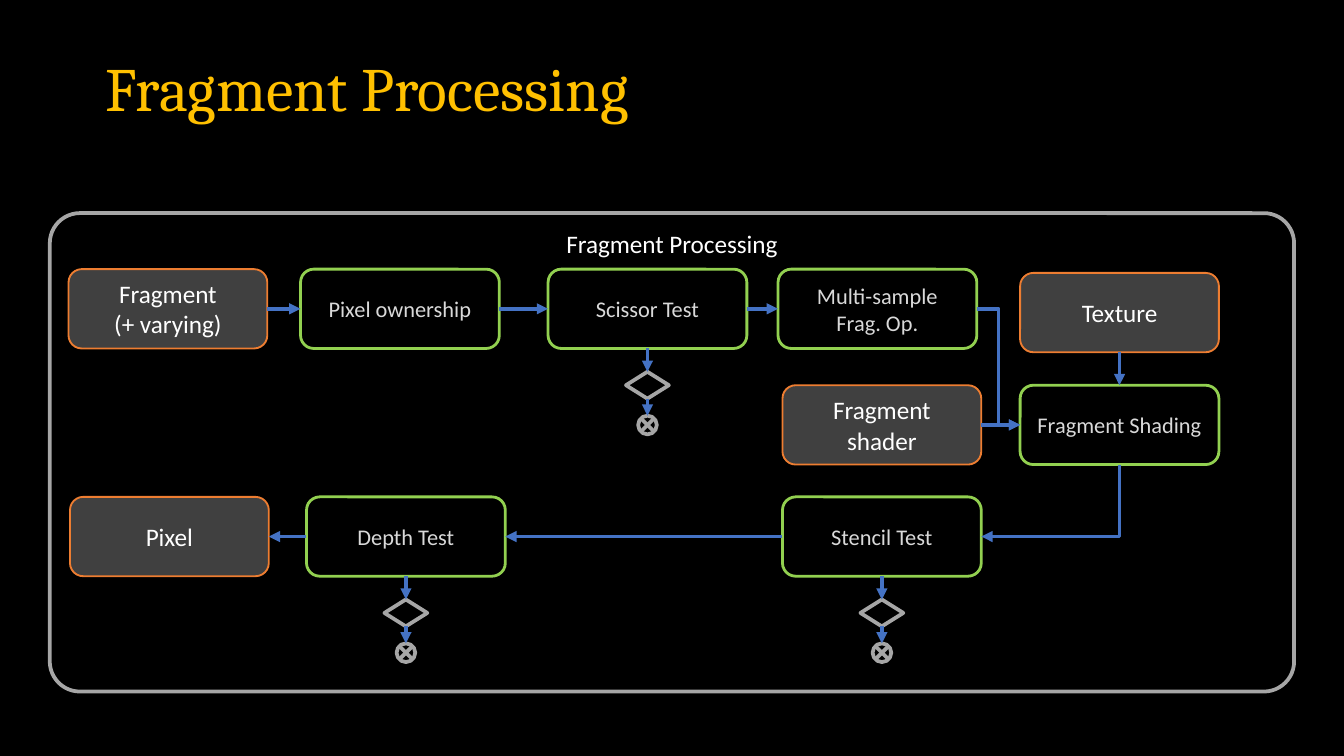
import pptx
import pptx.util
import pptx.dml.color
import pptx.enum.shapes
import pptx.enum.text
import pptx.oxml
import pptx.oxml.ns

Pt = pptx.util.Pt
SHAPE = pptx.enum.shapes.MSO_SHAPE
CONNECTOR = pptx.enum.shapes.MSO_CONNECTOR
ANCHOR = pptx.enum.text.MSO_ANCHOR
ALIGN = pptx.enum.text.PP_ALIGN

TITLE = "Fragment Processing"
GRAY, BLUE = "A6A6A6", "4472C4"
BOX_WIDTH, BOX_HEIGHT = 106.5, 42.5
ROW_TOPS = {"tests": 144.2, "texture": 146.2, "shading": 206.4, "output": 266.2}
TOP, LEFT, BOTTOM, RIGHT = range(4)

STYLES = {
    "data": {"fill": "404040", "line": "ED7D31", "weight": 1, "size": 13.5, "color": "FFFFFF"},
    "stage": {"fill": "000000", "line": "92D050", "weight": 1.5, "size": 12, "color": "D9D9D9"},
}

BOXES = {
    "fragment": ("Fragment\v(+ varying)", "data", 36.7, "tests"),
    "ownership": ("Pixel ownership", "stage", 161, "tests"),
    "scissor": ("Scissor Test", "stage", 293.6, "tests"),
    "multisample": ("Multi-sample\nFrag. Op.", "stage", 416.8, "tests"),
    "texture": ("Texture", "data", 546.5, "texture"),
    "shader": ("Fragment shader", "data", 419.2, "shading"),
    "shading": ("Fragment Shading", "stage", 546.5, "shading"),
    "pixel": ("Pixel", "data", 37.5, "output"),
    "depth": ("Depth Test", "stage", 164.2, "output"),
    "stencil": ("Stencil Test", "stage", 419.2, "output"),
}

FLOWS = [
    ("fragment", RIGHT, "ownership", LEFT),
    ("ownership", RIGHT, "scissor", LEFT),
    ("scissor", RIGHT, "multisample", LEFT),
    ("texture", BOTTOM, "shading", TOP),
    ("shader", RIGHT, "shading", LEFT),
    ("stencil", LEFT, "depth", RIGHT),
    ("depth", LEFT, "pixel", RIGHT),
]
REJECTING_TESTS = ["scissor", "depth", "stencil"]


def rgb(value):
    return pptx.dml.color.RGBColor.from_string(value)


def style_text(frame, text, size, color, font="Calibri", align=ALIGN.CENTER):
    frame.word_wrap = True
    frame.text = text
    for paragraph in frame.paragraphs:
        paragraph.alignment = align
        paragraph.font.name = font
        paragraph.font.size = Pt(size)
        paragraph.font.color.rgb = rgb(color)


def add_outline(slide, kind, left, top, width, height, line, weight, fill=None):
    shape = slide.shapes.add_shape(kind, Pt(left), Pt(top), Pt(width), Pt(height))
    shape.shadow.inherit = False
    shape.line.color.rgb = rgb(line)
    shape.line.width = Pt(weight)
    if fill:
        shape.fill.solid()
        shape.fill.fore_color.rgb = rgb(fill)
    else:
        shape.fill.background()
    return shape


def add_box(slide, text, style_name, left, row):
    style = STYLES[style_name]
    box = add_outline(slide, SHAPE.ROUNDED_RECTANGLE, left, ROW_TOPS[row], BOX_WIDTH,
                      BOX_HEIGHT, style["line"], style["weight"], style["fill"])
    box.text_frame.vertical_anchor = ANCHOR.MIDDLE
    style_text(box.text_frame, text, style["size"], style["color"])
    return box


def add_arrow(slide, start, start_side, end, end_side, kind=CONNECTOR.STRAIGHT):
    arrow = slide.shapes.add_connector(kind, 0, 0, 0, 0)
    arrow.begin_connect(start, start_side)
    arrow.end_connect(end, end_side)
    arrow.line.color.rgb = rgb(BLUE)
    arrow.line.width = Pt(2)
    tail = pptx.oxml.ns.qn("a:tailEnd")
    arrow.line._get_or_add_ln().append(
        pptx.oxml.parse_xml(f'<a:tailEnd {pptx.oxml.ns.nsdecls("a")} type="triangle"/>'))
    arrow._element.spPr.append(
        pptx.oxml.parse_xml(f'<a:effectLst {pptx.oxml.ns.nsdecls("a")}/>'))
    return arrow


def turn_down_then_left(arrow):
    across, down = arrow.width, arrow.height
    center_x, center_y = arrow.left + across // 2, arrow.top + down // 2
    arrow.left, arrow.top = center_x - down // 2, center_y - across // 2
    arrow.width, arrow.height = down, across
    properties = arrow._element.spPr
    transform = properties.find(pptx.oxml.ns.qn("a:xfrm"))
    transform.attrib.pop("flipH", None)
    transform.set("rot", "5400000")
    properties.find(pptx.oxml.ns.qn("a:prstGeom")).set("prst", "bentConnector2")


def add_rejection(slide, test):
    center = test.left.pt + BOX_WIDTH / 2
    bottom = test.top.pt + BOX_HEIGHT
    decision = add_outline(slide, SHAPE.DIAMOND, center - 11.5, bottom + 12.5, 23, 14.4, GRAY, 2)
    discard = add_outline(slide, SHAPE.FLOWCHART_SUMMING_JUNCTION,
                          center - 5, bottom + 36, 10, 10, GRAY, 2)
    add_arrow(slide, test, BOTTOM, decision, TOP)
    add_arrow(slide, decision, BOTTOM, discard, TOP)


def main():
    deck = pptx.Presentation()
    deck.slide_width, deck.slide_height = Pt(720), Pt(405)
    slide = deck.slides.add_slide(deck.slide_layouts[6])
    slide.background.fill.solid()
    slide.background.fill.fore_color.rgb = rgb("000000")

    stage_frame = add_outline(slide, SHAPE.ROUNDED_RECTANGLE, 26.7, 114.2, 666.6, 256.3, GRAY, 2)
    stage_frame.adjustments[0] = 0.063
    stage_frame.text_frame.vertical_anchor = ANCHOR.TOP
    style_text(stage_frame.text_frame, TITLE, 13.5, "FFFFFF")

    boxes = {name: add_box(slide, *box) for name, box in BOXES.items()}
    for start, start_side, end, end_side in FLOWS:
        add_arrow(slide, boxes[start], start_side, boxes[end], end_side)
    add_arrow(slide, boxes["multisample"], RIGHT, boxes["shading"], LEFT, CONNECTOR.ELBOW)
    turn_down_then_left(
        add_arrow(slide, boxes["shading"], BOTTOM, boxes["stencil"], RIGHT, CONNECTOR.ELBOW))
    for name in REJECTING_TESTS:
        add_rejection(slide, boxes[name])

    title = slide.shapes.add_textbox(Pt(49.5), Pt(21.6), Pt(621), Pt(54.7))
    title.text_frame.vertical_anchor = ANCHOR.MIDDLE
    style_text(title.text_frame, TITLE, 33, "FFC000", "Cambria", ALIGN.LEFT)
    title.text_frame.paragraphs[0].line_spacing = 0.9

    deck.save("out.pptx")


if __name__ == "__main__":
    main()
